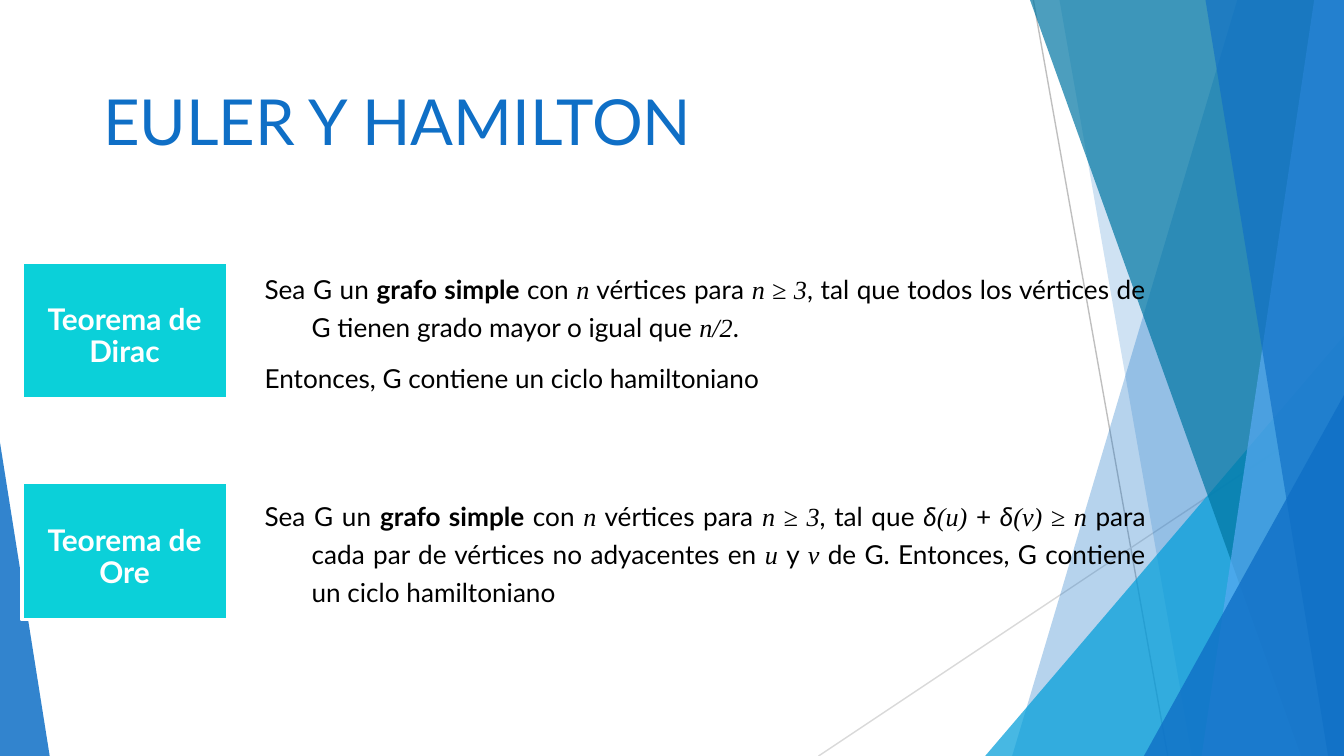
from dataclasses import dataclass
from pptx import Presentation
from pptx import util as u
from pptx.dml.color import RGBColor
from pptx.enum import shapes, text
from pptx.oxml import parse_xml
from pptx.oxml.ns import nsdecls, qn

Cm, Pt = u.Cm, u.Pt
ALIGN = text.PP_ALIGN


@dataclass(frozen=True)
class Theme:
    blue: str = "0F6FC6"
    sky: str = "009DD9"
    teal: str = "0076A3"
    pale: str = "59AAF2"
    turquoise: str = "0BD0D9"
    white: str = "FFFFFF"
    black: str = "000000"
    gray: str = "BFBFBF"
    light_gray: str = "D9D9D9"
    font: str = "Lato"
    math_font: str = "Times New Roman"
    title: int = 34
    label: int = 16
    body: int = 14


@dataclass(frozen=True)
class Box:
    left: float
    top: float
    width: float
    height: float

    @property
    def right(self):
        return self.left + self.width

    @property
    def bottom(self):
        return self.top + self.height

    def lengths(self):
        return [Cm(v) for v in (self.left, self.top, self.width, self.height)]


T = Theme()
SLIDE = Box(0, 0, 25.4, 14.29)
PLAIN, BOLD, MATH, SLANT = "plain", "bold", "math", "slant"


def paint(shape, color, alpha=100, border=None):
    shape.shadow.inherit = False
    shape.fill.solid()
    shape.fill.fore_color.rgb = RGBColor.from_string(color)
    if alpha < 100:
        fill = shape._element.spPr.find(qn("a:solidFill"))
        fill[0].append(parse_xml(f'<a:alpha {nsdecls("a")} val="{alpha * 1000}"/>'))
    if border:
        shape.line.color.rgb = RGBColor.from_string(border)
        shape.line.width = Pt(2)
    else:
        shape.line.fill.background()


def write(shape, paragraphs, *, size, color, anchor, align=ALIGN.LEFT, bold=False,
          spacing=None, before=0, after=0, hanging=0, insets=(0.25, 0.13, 0.25, 0.13)):
    """Each paragraph is a list of (words, style) pairs."""
    frame = shape.text_frame
    frame.word_wrap = True
    frame.vertical_anchor = anchor
    (frame.margin_left, frame.margin_top,
     frame.margin_right, frame.margin_bottom) = [Cm(v) for v in insets]
    for i, runs in enumerate(paragraphs):
        para = frame.add_paragraph() if i else frame.paragraphs[0]
        para.alignment = align
        para.line_spacing = spacing
        para.space_before, para.space_after = Pt(before), Pt(after)
        if hanging:
            props = para._p.get_or_add_pPr()
            props.set("marL", str(Cm(hanging)))
            props.set("indent", str(-Cm(hanging)))
        for words, style in runs:
            run = para.add_run()
            run.text = words
            font = run.font
            font.name = T.math_font if style == MATH else T.font
            font.size = Pt(size)
            font.bold = bold or style == BOLD
            font.italic = style in (MATH, SLANT)
            font.color.rgb = RGBColor.from_string(color)


def add_backdrop(slide, box):
    def ray(start, end, color):
        line = slide.shapes.add_connector(
            shapes.MSO_CONNECTOR.STRAIGHT, *[Cm(v) for v in start + end])
        line.line.color.rgb = RGBColor.from_string(color)
        line.line.width = Pt(0.75)
        line._element.spPr.append(parse_xml(f'<a:effectLst {nsdecls("a")}/>'))

    # Band along the right edge, given by its width at top and bottom
    def band(top_width, bottom_width, color, alpha):
        top = box.top - 0.02
        corners = [(box.right - top_width, top), (box.right, top),
                   (box.right, box.bottom), (box.right - bottom_width, box.bottom)]
        points = [(Cm(x), Cm(y)) for x, y in corners]
        outline = slide.shapes.build_freeform(*points[0])
        outline.add_line_segments(points[1:], close=True)
        paint(outline.convert_to_shape(), color, alpha)

    # Triangle standing in a bottom corner, apex on the outer edge
    def corner(width, height, color, alpha, apex=1):
        left = box.right - width if apex else box.left
        place = Box(left, box.bottom - height, width, height)
        triangle = slide.shapes.add_shape(
            shapes.MSO_SHAPE.ISOSCELES_TRIANGLE, *place.lengths())
        triangle.adjustments[0] = apex
        paint(triangle, color, alpha)

    ray((box.right - 5.87, box.top), (box.right - 3.33, box.bottom), T.gray)
    ray((box.right, box.top + 7.67), (box.right - 9.93, box.bottom), T.light_gray)
    band(2.01, 6.27, T.blue, 30)
    band(5.38, 2.87, T.blue, 20)
    corner(6.78, 7.94, T.sky, 72)
    band(5.94, 0.81, T.teal, 70)
    band(0.56, 2.69, T.pale, 70)
    band(2.62, 0.3, T.blue, 65)
    corner(3.78, 6.82, T.blue, 80)
    corner(0.94, 5.93, T.blue, 85, apex=0)


def add_title(slide, box, words):
    heading = slide.shapes.add_textbox(*box.lengths())
    write(heading, [[(words, PLAIN)]], size=T.title, color=T.blue,
          anchor=text.MSO_ANCHOR.BOTTOM)


def add_theorem(slide, box, name, statement):
    label_width, gap = 3.89, 0.45
    # Name card
    label_box = Box(box.left, box.top, label_width, box.height)
    label = slide.shapes.add_shape(shapes.MSO_SHAPE.RECTANGLE, *label_box.lengths())
    paint(label, T.turquoise, border=T.white)
    write(label, [[(name, PLAIN)]], size=T.label, color=T.white, bold=True,
          anchor=text.MSO_ANCHOR.MIDDLE, align=ALIGN.CENTER, spacing=0.9,
          before=7, after=10, insets=(0.38, 0.51, 0.38, 0.25))
    # Statement
    offset = label_width + gap
    body_box = Box(box.left + offset, box.top, box.width - offset, box.height)
    body = slide.shapes.add_textbox(*body_box.lengths())
    write(body, statement, size=T.body, color=T.black,
          anchor=text.MSO_ANCHOR.MIDDLE, align=ALIGN.JUSTIFY, spacing=1.2,
          before=7, hanging=0.89)


premise = [("Sea G un ", PLAIN), ("grafo simple ", BOLD), ("con ", PLAIN),
           ("n", MATH), (" vértices para ", PLAIN), ("n ≥ 3", MATH)]
theorems = [
    ("Teorema de Dirac", [
        premise + [
            (", tal que todos los vértices de G tienen grado mayor o igual que ", PLAIN),
            ("n/2", MATH), (". ", PLAIN)],
        [("Entonces, G contiene un ciclo hamiltoniano ", PLAIN)]]),
    ("Teorema de Ore", [
        premise + [
            (", tal que ", PLAIN), ("δ", SLANT), ("(u)", MATH), (" + ", PLAIN),
            ("δ", SLANT), ("(v) ≥ n ", MATH),
            ("para cada par de vértices no adyacentes en", PLAIN), (" u ", MATH),
            ("y", PLAIN), (" v ", MATH),
            ("de G. Entonces, G contiene un ciclo hamiltoniano ", PLAIN)]]),
]

deck = Presentation()
deck.slide_width, deck.slide_height = Cm(SLIDE.width), Cm(SLIDE.height)
slide = deck.slides.add_slide(deck.slide_layouts[6])

add_backdrop(slide, SLIDE)
add_title(slide, Box(1.7, 0.33, 23.7, 2.79), "EULER Y HAMILTON")
for row, (name, statement) in enumerate(theorems):
    add_theorem(slide, Box(0.41, 4.95 + row * 4.17, 21.49, 2.59), name, statement)

deck.save("out.pptx")
